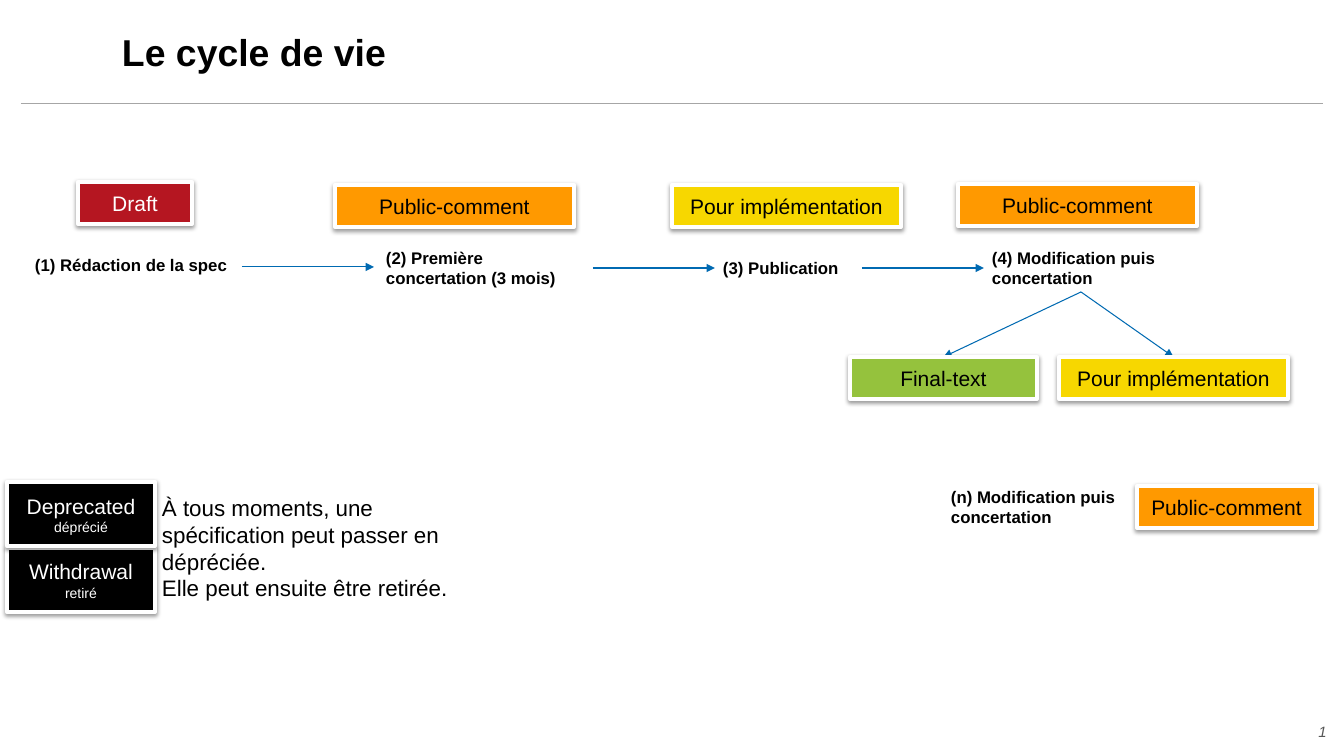
"""Build the specification life cycle slide."""
import lxml.etree
import pptx
import pptx.dml.color
import pptx.enum.shapes
import pptx.enum.text
import pptx.oxml
import pptx.oxml.ns
import pptx.util

RGBColor = pptx.dml.color.RGBColor
ANCHOR = pptx.enum.text.MSO_ANCHOR
ALIGN = pptx.enum.text.PP_ALIGN
STRAIGHT = pptx.enum.shapes.MSO_CONNECTOR.STRAIGHT
Pt = pptx.util.Pt
qn = pptx.oxml.ns.qn

BLACK = RGBColor(0x00, 0x00, 0x00)
WHITE = RGBColor(0xFF, 0xFF, 0xFF)
RED = RGBColor(0xB5, 0x16, 0x21)
ORANGE = RGBColor(0xFF, 0x99, 0x00)
YELLOW = RGBColor(0xF7, 0xD7, 0x00)
GREEN = RGBColor(0x95, 0xC2, 0x3D)
BLUE = RGBColor(0x00, 0x6A, 0xB2)
GREY = RGBColor(0x57, 0x57, 0x57)
RULE_GREY = RGBColor(0xA6, 0xA6, 0xA6)

FONT = "Arial"
EMU_PER_PX = 914400 / 100.8
SLIDE_SIZE = (1344, 756)
BOX_HEIGHT = 42
LABEL_HEIGHT = 48
STATE_HEIGHT = 64

TITLE = ("Le cycle de vie", (122, 13, 1185, 80))
RULE = ((21, 103), (1323, 103))
PAGE_NUMBER_AREA = (1301, 712, 43, 40)

STATUS_BOXES = {
    "draft": ("Draft", RED, WHITE, 78, 182, 114),
    "first comment": ("Public-comment", ORANGE, BLACK, 335, 185, 239),
    "implementation": ("Pour implémentation", YELLOW, BLACK, 672, 185, 229),
    "second comment": ("Public-comment", ORANGE, BLACK, 958, 184, 239),
    "final": ("Final-text", GREEN, BLACK, 850, 357, 187),
    "new implementation": ("Pour implémentation", YELLOW, BLACK, 1059, 357, 229),
    "last comment": ("Public-comment", ORANGE, BLACK, 1137, 486, 179),
}
END_STATES = [
    ("Withdrawal", "retiré", 7, 548, 148),
    ("Deprecated", "déprécié", 7, 482, 148),
]
STEP_LABELS = {
    "step 1": ("(1) Rédaction de la spec", 27, 243, 215, ANCHOR.TOP),
    "step 2": ("(2) Première concertation (3 mois)", 378, 244, 215, ANCHOR.MIDDLE),
    "step 3": ("(3) Publication", 715, 244, 147, ANCHOR.MIDDLE),
    "step 4": ("(4) Modification puis concertation", 984, 244, 194, ANCHOR.MIDDLE),
    "step n": ("(n) Modification puis concertation", 943, 483, 194, ANCHOR.MIDDLE),
}
EXPLANATION = (
    ["À tous moments, une spécification peut passer en dépréciée.",
     "Elle peut ensuite être retirée."],
    (154, 482, 312, 135),
)
TOP, LEFT, BOTTOM, RIGHT = range(4)
JOINED_ARROWS = [
    ("step 2", RIGHT, "step 3", LEFT),
    ("step 3", RIGHT, "step 4", LEFT),
    ("step 4", BOTTOM, "new implementation", TOP),
    ("step 4", BOTTOM, "final", TOP),
]
FIRST_ARROW = ("step 1", RIGHT, (242, 267), (374, 267))


def px(*lengths):
    return [round(length * EMU_PER_PX) for length in lengths]


def write(shape, lines, sizes, color, bold=False, align=ALIGN.LEFT,
          anchor=ANCHOR.MIDDLE, insets=(8, 12)):
    frame = shape.text_frame
    frame.text = "\n".join(lines)
    frame.word_wrap = True
    frame.auto_size = pptx.enum.text.MSO_AUTO_SIZE.NONE
    frame.vertical_anchor = anchor
    horizontal, vertical = px(*insets)
    frame.margin_left = frame.margin_right = horizontal
    frame.margin_top = frame.margin_bottom = vertical
    for paragraph, size in zip(frame.paragraphs, sizes):
        paragraph.alignment = align
        paragraph.font.name = FONT
        paragraph.font.size = Pt(size)
        paragraph.font.bold = bold
        paragraph.font.color.rgb = color


def add_text(slide, area, lines, sizes, color, **style):
    shape = slide.shapes.add_textbox(*px(*area))
    write(shape, lines, sizes, color, **style)
    return shape


def add_box(slide, area, lines, sizes, fill, color):
    shape = slide.shapes.add_shape(pptx.enum.shapes.MSO_SHAPE.RECTANGLE, *px(*area))
    shape.fill.solid()
    shape.fill.fore_color.rgb = fill
    shape.line.color.rgb = WHITE
    shape.line.width = Pt(3)
    shape.shadow.inherit = False
    effects = shape._element.spPr.find(qn("a:effectLst"))
    shadow = lxml.etree.SubElement(
        effects, qn("a:outerShdw"), blurRad=str(Pt(3.1)), dist=str(Pt(1.6)),
        dir="5400000", rotWithShape="0")
    shadow_color = lxml.etree.SubElement(shadow, qn("a:srgbClr"), val=str(BLACK))
    lxml.etree.SubElement(shadow_color, qn("a:alpha"), val="38000")
    write(shape, lines, sizes, color, align=ALIGN.CENTER)
    return shape


def add_line(slide, start, end, color, width, arrow=False):
    connector = slide.shapes.add_connector(STRAIGHT, *px(*start, *end))
    connector.line.color.rgb = color
    connector.line.width = Pt(width)
    if arrow:
        lxml.etree.SubElement(connector.line._get_or_add_ln(), qn("a:tailEnd"),
                              type="triangle")
    lxml.etree.SubElement(connector._element.spPr, qn("a:effectLst"))
    slide.shapes._spTree.insert(2, connector._element)
    return connector


def add_page_number(slide):
    shape = add_text(slide, PAGE_NUMBER_AREA, [""], [10.7], GREY,
                     align=ALIGN.CENTER, insets=(0, 0))
    paragraph = shape.text_frame.paragraphs[0]
    paragraph.font.italic = True
    field = pptx.oxml.parse_xml(
        f'<a:fld {pptx.oxml.ns.nsdecls("a")} type="slidenum" '
        'id="{B6F15528-21DE-4FAA-801E-634DDDAF4B2B}">'
        f'<a:rPr lang="fr-FR" sz="1070" i="1"><a:solidFill><a:srgbClr val="{GREY}"/>'
        f'</a:solidFill><a:latin typeface="{FONT}"/></a:rPr><a:t>1</a:t></a:fld>')
    paragraph._p.get_or_add_pPr().addnext(field)


def main():
    presentation = pptx.Presentation()
    presentation.slide_width, presentation.slide_height = px(*SLIDE_SIZE)
    slide = presentation.slides.add_slide(presentation.slide_layouts[5])

    text, area = TITLE
    title = slide.shapes.title
    title.left, title.top, title.width, title.height = px(*area)
    write(title, [text], [26.7], BLACK, bold=True, insets=(0, 0))
    title.text_frame.paragraphs[0].line_spacing = Pt(29.3)
    add_line(slide, *RULE, RULE_GREY, 0.25)
    add_page_number(slide)

    stages = {}
    for name, (text, left, top, width, anchor) in STEP_LABELS.items():
        stages[name] = add_text(slide, (left, top, width, LABEL_HEIGHT), [text], [12],
                                BLACK, bold=True, anchor=anchor)
    for name, (text, fill, color, left, top, width) in STATUS_BOXES.items():
        stages[name] = add_box(slide, (left, top, width, BOX_HEIGHT), [text], [15],
                               fill, color)
    lines, area = EXPLANATION
    add_text(slide, area, lines, [16, 16], BLACK, anchor=ANCHOR.TOP)
    for state, translation, left, top, width in END_STATES:
        add_box(slide, (left, top, width, STATE_HEIGHT), [state, translation], [15, 10],
                BLACK, WHITE)

    source, side, start, end = FIRST_ARROW
    arrow = add_line(slide, start, end, BLUE, 0.75, arrow=True)
    arrow.begin_connect(stages[source], side)
    for source, source_side, target, target_side in JOINED_ARROWS:
        arrow = add_line(slide, (0, 0), (0, 0), BLUE, 0.75, arrow=True)
        arrow.begin_connect(stages[source], source_side)
        arrow.end_connect(stages[target], target_side)

    presentation.save("out.pptx")


if __name__ == "__main__":
    main()
